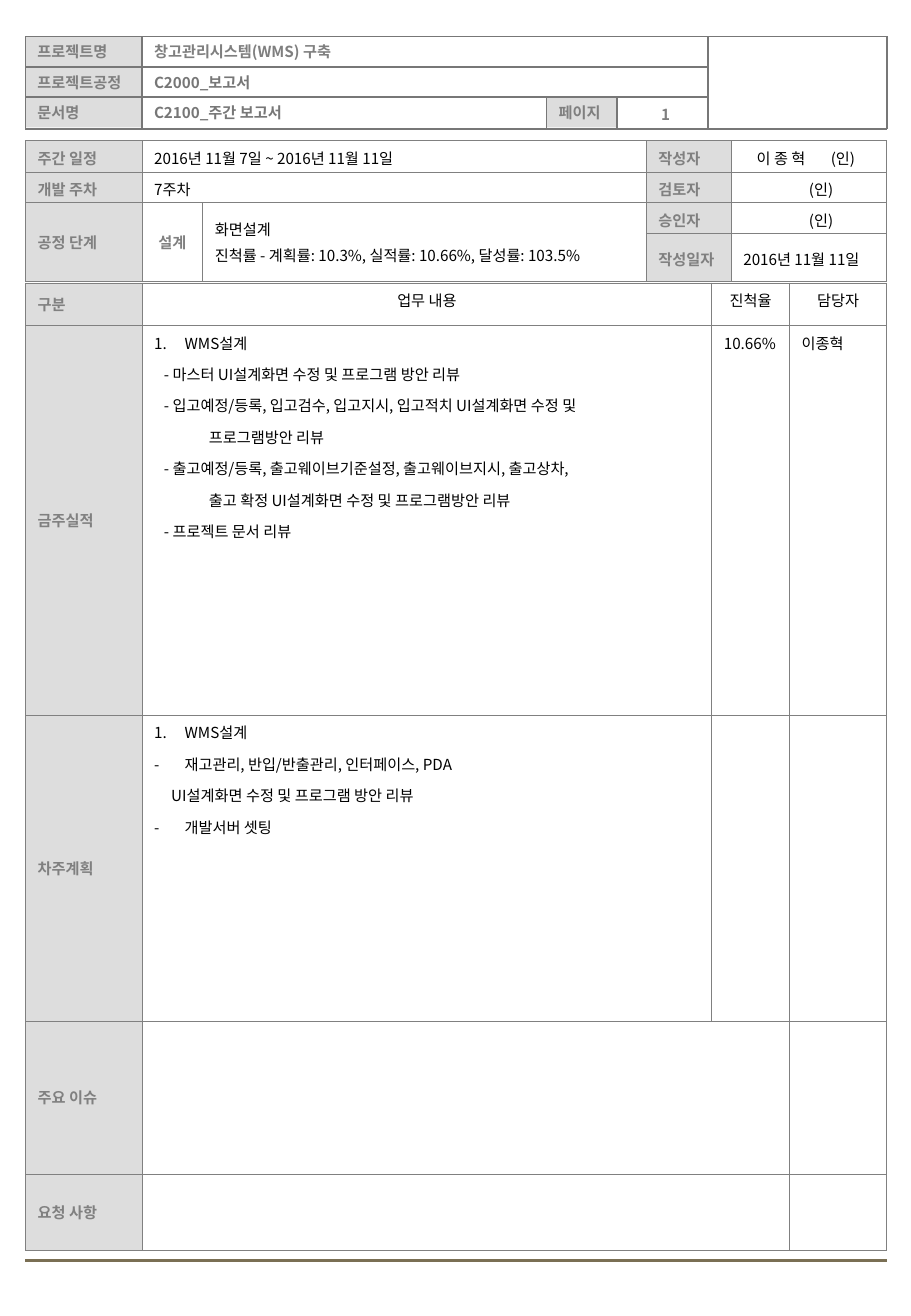
from lxml.etree import SubElement
from pptx import Presentation
from pptx.dml.color import RGBColor
from pptx.enum.shapes import MSO_CONNECTOR, MSO_SHAPE
from pptx.enum.text import MSO_ANCHOR, PP_ALIGN
from pptx.oxml.ns import qn
from pptx.util import Pt

PX = 9144
FONT = "Noto Sans CJK KR"
LEFT, RIGHT = 21, 730
LABEL_WIDTH = 96
PAD, PAD_V = 10, 5
GRAY, LABEL_GRAY, RULE, SHADE, BLACK = "808080", "7F7F7F", "777777", "DDDDDD", "000000"
rgb = RGBColor.from_string


def write(frame, lines, color, bold=False, align=PP_ALIGN.LEFT, gap=2.2):
    frame.word_wrap = True
    for number, line in enumerate(lines):
        text, margin, bullet = line if isinstance(line, tuple) else (line, 0, "")
        paragraph = frame.paragraphs[0] if number == 0 else frame.add_paragraph()
        for position, part in enumerate(text.split("|")):
            if position:
                spacer = paragraph.add_run()
                spacer.text = " "
                spacer._r.get_or_add_rPr().set("spc", "1300")
            paragraph.add_run().text = part
        paragraph.alignment = align
        paragraph.space_before = Pt(gap if number else 0)
        properties = paragraph._p.get_or_add_pPr()
        properties.set("marL", str(margin * PX))
        properties.set("indent", str(-margin * PX if bullet else 0))
        if bullet:
            SubElement(properties, qn("a:buFont"), typeface=FONT)
        if bullet == "1.":
            SubElement(properties, qn("a:buAutoNum"), type="arabicPeriod")
        elif bullet:
            SubElement(properties, qn("a:buChar"), char=bullet)
        else:
            SubElement(properties, qn("a:buNone"))
        font = paragraph.font
        font.size = Pt(9)
        font.bold = bold
        font.color.rgb = rgb(color)
        font.name = FONT
        SubElement(properties.find(qn("a:defRPr")), qn("a:ea"), typeface=FONT)


def rule(x1, y1, x2, y2, color, width):
    line = slide.shapes.add_connector(MSO_CONNECTOR.STRAIGHT, x1 * PX, y1 * PX, x2 * PX, y2 * PX)
    line.line.color.rgb = rgb(color)
    line.line.width = Pt(width)
    SubElement(line._element.spPr, qn("a:effectLst"))


deck = Presentation()
deck.slide_width, deck.slide_height = 750 * PX, 1084 * PX
slide = deck.slides.add_slide(deck.slide_layouts[6])

HEAD_TOP, HEAD_ROW, HEAD_BOTTOM = 30, 25, 106
SECOND, THIRD = HEAD_TOP + HEAD_ROW, HEAD_TOP + 2 * HEAD_ROW
VALUE_X, PAGE_X, NUMBER_X, STAMP_X = LEFT + LABEL_WIDTH, 450, 508, 583

header_fields = [
    (LEFT, HEAD_TOP, LABEL_WIDTH, HEAD_ROW, "프로젝트명", LABEL_GRAY, True),
    (VALUE_X, HEAD_TOP, STAMP_X - VALUE_X, HEAD_ROW, "창고관리시스템(WMS) 구축", LABEL_GRAY, False),
    (LEFT, SECOND, LABEL_WIDTH, HEAD_ROW, "프로젝트공정", LABEL_GRAY, True),
    (VALUE_X, SECOND, STAMP_X - VALUE_X, HEAD_ROW, "C2000_보고서", RULE, False),
    (LEFT, THIRD, LABEL_WIDTH, HEAD_ROW, "문서명", LABEL_GRAY, True),
    (VALUE_X, THIRD, PAGE_X - VALUE_X, HEAD_ROW, "C2100_주간 보고서", RULE, False),
    (PAGE_X, THIRD, NUMBER_X - PAGE_X, HEAD_ROW, "페이지", LABEL_GRAY, True),
    (NUMBER_X, 80, 80, 28, "1", LABEL_GRAY, False),
]
for x, y, width, height, text, color, shaded in header_fields:
    place = (x * PX, y * PX, width * PX, height * PX)
    if shaded:
        field = slide.shapes.add_shape(MSO_SHAPE.RECTANGLE, *place)
        field.shadow.inherit = False
        field.fill.solid()
        field.fill.fore_color.rgb = rgb(SHADE)
        field.line.fill.background()
    else:
        field = slide.shapes.add_textbox(*place)
    frame = field.text_frame
    frame.margin_left = frame.margin_right = PAD * PX
    frame.margin_top = frame.margin_bottom = PAD_V * PX
    frame.vertical_anchor = MSO_ANCHOR.MIDDLE
    write(frame, [text], color, True, PP_ALIGN.CENTER if text == "1" else PP_ALIGN.LEFT)

for x in (LEFT, VALUE_X, STAMP_X, RIGHT):
    rule(x, HEAD_TOP, x, HEAD_BOTTOM, RULE, 1)
for x in (PAGE_X, NUMBER_X):
    rule(x, THIRD, x, HEAD_BOTTOM, RULE, 1)
for y, end in ((HEAD_TOP, RIGHT), (SECOND, STAMP_X), (THIRD, STAMP_X), (HEAD_BOTTOM, RIGHT)):
    rule(LEFT, y, end, y, RULE, 1)
rule(LEFT, 1038, RIGHT, 1038, "7A6F54", 1.75)

schedule = {
    (0, 0): ["주간 일정"],
    (0, 1): ["2016년 11월 7일 ~ 2016년 11월 11일"],
    (0, 3): ["작성자"],
    (0, 4): [("이 종 혁|(인)", 11, "")],
    (1, 0): ["개발 주차"],
    (1, 1): ["7주차"],
    (1, 3): ["검토자"],
    (1, 4): [("(인)", 54, "")],
    (2, 0): ["공정 단계"],
    (2, 1): ["설계"],
    (2, 2): ["화면설계", "진척률 - 계획률: 10.3%, 실적률: 10.66%, 달성률: 103.5%"],
    (2, 3): ["승인자"],
    (2, 4): [("(인)", 54, "")],
    (3, 3): ["작성일자"],
    (3, 4): ["2016년 11월 11일"],
}
work = {
    (0, 0): ["구분"],
    (0, 1): ["업무 내용"],
    (0, 2): ["진척율"],
    (0, 3): ["담당자"],
    (1, 0): ["금주실적"],
    (1, 1): [
        ("WMS설계", 25, "1."),
        ("- 마스터 UI설계화면 수정 및 프로그램 방안 리뷰", 8, ""),
        ("- 입고예정/등록, 입고검수, 입고지시, 입고적치 UI설계화면 수정 및", 8, ""),
        ("프로그램방안 리뷰", 45, ""),
        ("- 출고예정/등록, 출고웨이브기준설정, 출고웨이브지시, 출고상차,", 8, ""),
        ("출고 확정 UI설계화면 수정 및 프로그램방안 리뷰", 45, ""),
        ("- 프로젝트 문서 리뷰", 8, ""),
    ],
    (1, 2): ["10.66%"],
    (1, 3): ["이종혁"],
    (2, 0): ["차주계획"],
    (2, 1): [
        ("WMS설계", 25, "1."),
        ("재고관리, 반입/반출관리, 인터페이스, PDA", 25, "-"),
        ("UI설계화면 수정 및 프로그램 방안 리뷰", 14, ""),
        ("개발서버 셋팅", 25, "-"),
    ],
    (3, 0): ["주요 이슈"],
    (4, 0): ["요청 사항"],
}
schedule_merges = [(0, 1, 0, 2), (1, 1, 1, 2), (2, 0, 3, 0), (2, 1, 3, 1), (2, 2, 3, 2)]
work_merges = [(3, 1, 3, 2), (4, 1, 4, 2)]
tables = [
    (116, [LABEL_WIDTH, 50, 365, 70, 128], [26, 25, 25, 40], schedule, schedule_merges, (0, 3)),
    (233, [LABEL_WIDTH, 469, 64, 80], [35, 321, 252, 126, 63], work, work_merges, (0,)),
]
for top, widths, heights, texts, merges, label_columns in tables:
    table = slide.shapes.add_table(len(heights), len(widths), LEFT * PX, top * PX,
                                   sum(widths) * PX, sum(heights) * PX).table
    table.first_row = table.horz_banding = False
    for column, width in zip(table.columns, widths):
        column.width = width * PX
    for row, height in zip(table.rows, heights):
        row.height = height * PX
    for r1, c1, r2, c2 in merges:
        table.cell(r1, c1).merge(table.cell(r2, c2))
    compact = texts is schedule
    for r in range(len(heights)):
        for c in range(len(widths)):
            cell = table.cell(r, c)
            label = c in label_columns
            tall = cell.is_merge_origin and r == 2
            cell.margin_left = cell.margin_right = PAD * PX
            cell.margin_top = (0 if tall else 3 if compact else PAD_V) * PX
            cell.margin_bottom = 0 if compact else PAD_V * PX
            cell.vertical_anchor = MSO_ANCHOR.MIDDLE if label or compact else MSO_ANCHOR.TOP
            borders = cell._tc.get_or_add_tcPr()
            for side in ("a:lnL", "a:lnR", "a:lnT", "a:lnB"):
                border = SubElement(borders, qn(side), w=str(Pt(0.45)))
                SubElement(SubElement(border, qn("a:solidFill")), qn("a:srgbClr"), val=GRAY)
            if label:
                cell.fill.solid()
                cell.fill.fore_color.rgb = rgb(SHADE)
            else:
                cell.fill.background()
            if (r, c) in texts:
                phase = texts[r, c] == ["설계"]
                heading = not compact and r == 0 and not label
                write(cell.text_frame, texts[r, c], GRAY if label or phase else BLACK, label or phase,
                      PP_ALIGN.CENTER if phase or heading else PP_ALIGN.LEFT,
                      2.2 if compact else 5.6)

deck.save("out.pptx")
